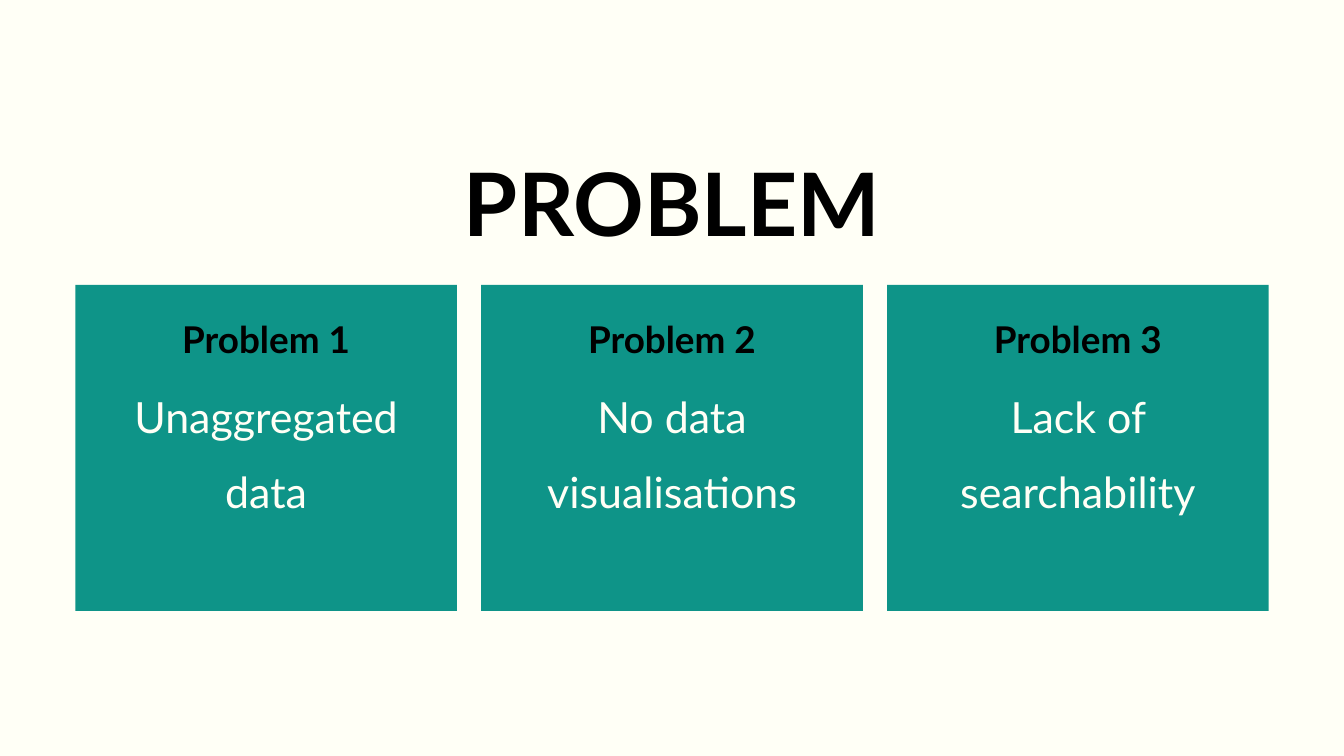
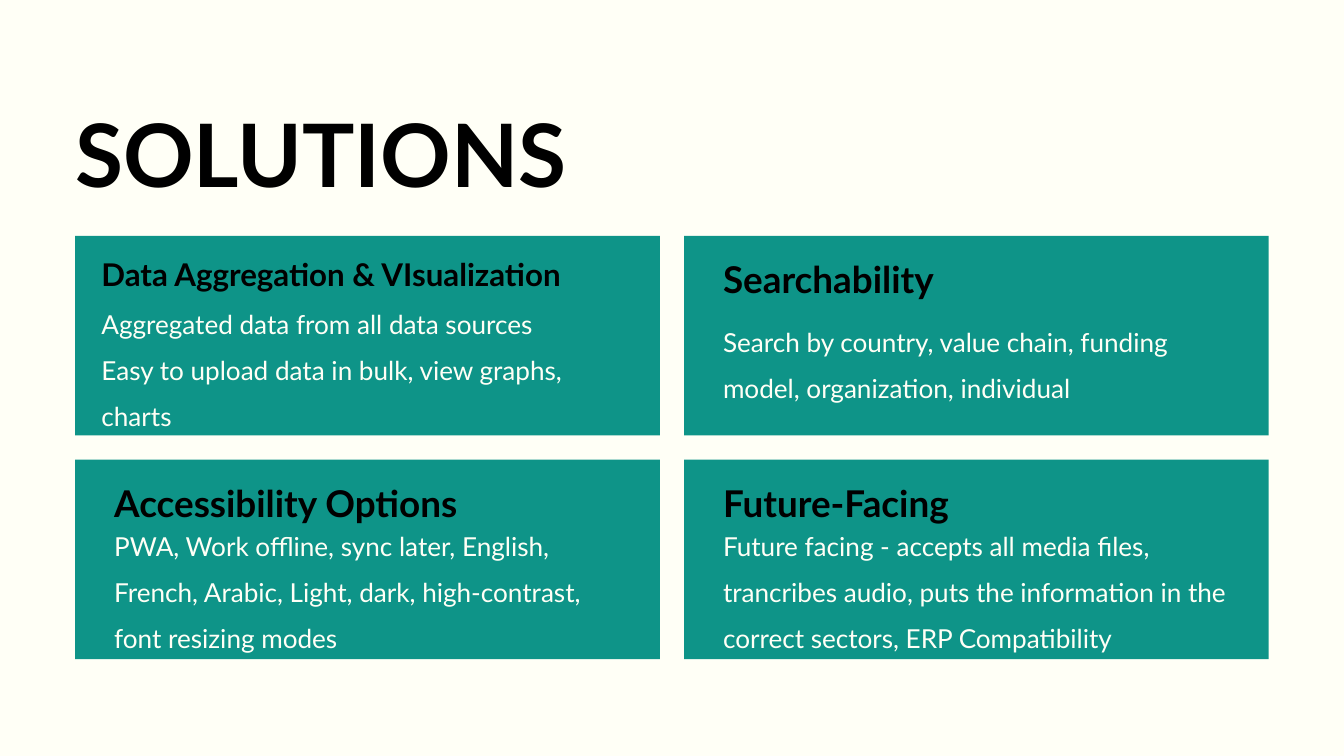
from pptx import Presentation
from pptx import util as u
from pptx.dml.color import RGBColor
from pptx.enum import shapes, text

WIDTH, HEIGHT = 20, 11.25
MARGIN, GAP = 1.12, 0.36
COLORS = {"paper": "FFFFF6", "card": "0E9488", "ink": "000000"}
CENTER, LEFT = text.PP_ALIGN.CENTER, text.PP_ALIGN.LEFT

# Text styles: size, line spacing in points, weight and colour
STYLES = {
    "title": {"size": 93.7, "spacing": 131.2, "bold": True, "color": "ink"},
    "heading": {"size": 39.5, "spacing": 55.2, "bold": True, "color": "ink"},
    "long heading": {"size": 33.5, "spacing": 46.8, "bold": True, "color": "ink"},
    "phrase": {"size": 46, "spacing": 81, "bold": False, "color": "paper"},
    "detail": {"size": 28, "spacing": 49.2, "bold": False, "color": "paper"},
}

PROBLEMS = [
    ("Problem 1", "Unaggregated data"),
    ("Problem 2", "No data visualisations"),
    ("Problem 3", "Lack of searchability"),
]

# Solutions row by row: heading, style, inset, top of the details, details
SOLUTIONS = [
    ("Data Aggregation & VIsualization", "long heading", 0.39, 0.86,
     ["Aggregated data from all data sources",
      "Easy to upload data in bulk, view graphs, charts"]),
    ("Searchability", "heading", 0.58, 1.13,
     ["Search by country, value chain, funding model, organization, individual"]),
    ("Accessibility Options", "heading", 0.58, 0.84,
     ["PWA, Work offline, sync later, English, French, Arabic, Light, dark, "
      "high-contrast, font resizing modes"]),
    ("Future-Facing", "heading", 0.58, 0.84,
     ["Future facing - accepts all media files, trancribes audio, puts the "
      "information in the correct sectors, ERP Compatibility"]),
]


def color(name):
    return RGBColor.from_string(COLORS[name])


def inches(*lengths):
    return [u.Inches(length) for length in lengths]


def add_page(deck):
    page = deck.slides.add_slide(deck.slide_layouts[6])
    page.background.fill.solid()
    page.background.fill.fore_color.rgb = color("paper")
    return page


def add_text(page, lines, place, style, align=LEFT):
    look = STYLES[style]
    frame = page.shapes.add_textbox(*inches(*place)).text_frame
    frame_format = {"margin_left": 0, "margin_right": 0, "margin_top": 0,
                    "margin_bottom": 0, "word_wrap": True,
                    "auto_size": text.MSO_AUTO_SIZE.SHAPE_TO_FIT_TEXT}
    for name, value in frame_format.items():
        setattr(frame, name, value)
    for index, line in enumerate(lines):
        para = frame.add_paragraph() if index else frame.paragraphs[0]
        para.alignment = align
        para.line_spacing = u.Pt(look["spacing"])
        span = para.add_run()
        span.text = line
        font_format = {"name": "Lato", "size": u.Pt(look["size"]), "bold": look["bold"]}
        for name, value in font_format.items():
            setattr(span.font, name, value)
        span.font.color.rgb = color(look["color"])


def add_cards(page, count, columns, top, height):
    """Draw a grid of cards between the margins; return their corners and width."""
    width = (WIDTH - 2 * MARGIN - (columns - 1) * GAP) / columns
    corners = []
    for index in range(count):
        row, column = divmod(index, columns)
        left = MARGIN + column * (width + GAP)
        card_top = top + row * (height + GAP)
        card = page.shapes.add_shape(shapes.MSO_SHAPE.RECTANGLE,
                                     *inches(left, card_top, width, height))
        card.shadow.inherit = False
        card.fill.solid()
        card.fill.fore_color.rgb = color("card")
        card.line.fill.background()
        corners.append((left, card_top))
    return corners, width


def add_problems(deck):
    page = add_page(deck)
    title_width = 7.47
    add_text(page, ["PROBLEM"], ((WIDTH - title_width) / 2, 1.96, title_width, 1.76),
             "title", CENTER)
    corners, width = add_cards(page, len(PROBLEMS), 3, 4.24, 4.85)
    inset = 0.41
    for (left, top), (heading, phrase) in zip(corners, PROBLEMS):
        inner = width - 2 * inset
        add_text(page, [phrase], (left + inset, top + 1.21, inner, 2.14), "phrase", CENTER)
        add_text(page, [heading], (left + inset, top + 0.37, inner, 0.74), "heading", CENTER)


def add_solutions(deck):
    page = add_page(deck)
    add_text(page, ["SOLUTIONS"], (MARGIN, 1.23, 7.47, 1.76), "title")
    corners, _ = add_cards(page, len(SOLUTIONS), 2, 3.51, 2.97)
    for (left, top), solution in zip(corners, SOLUTIONS):
        heading, style, inset, detail_top, details = solution
        add_text(page, details, (left + inset, top + detail_top, 7.54, 1.98), "detail")
        add_text(page, [heading], (left + inset, top + 0.2, 7.54, 0.74), style)


def main():
    deck = Presentation()
    deck.slide_width, deck.slide_height = inches(WIDTH, HEIGHT)
    add_problems(deck)
    add_solutions(deck)
    deck.save("out.pptx")


if __name__ == "__main__":
    main()
